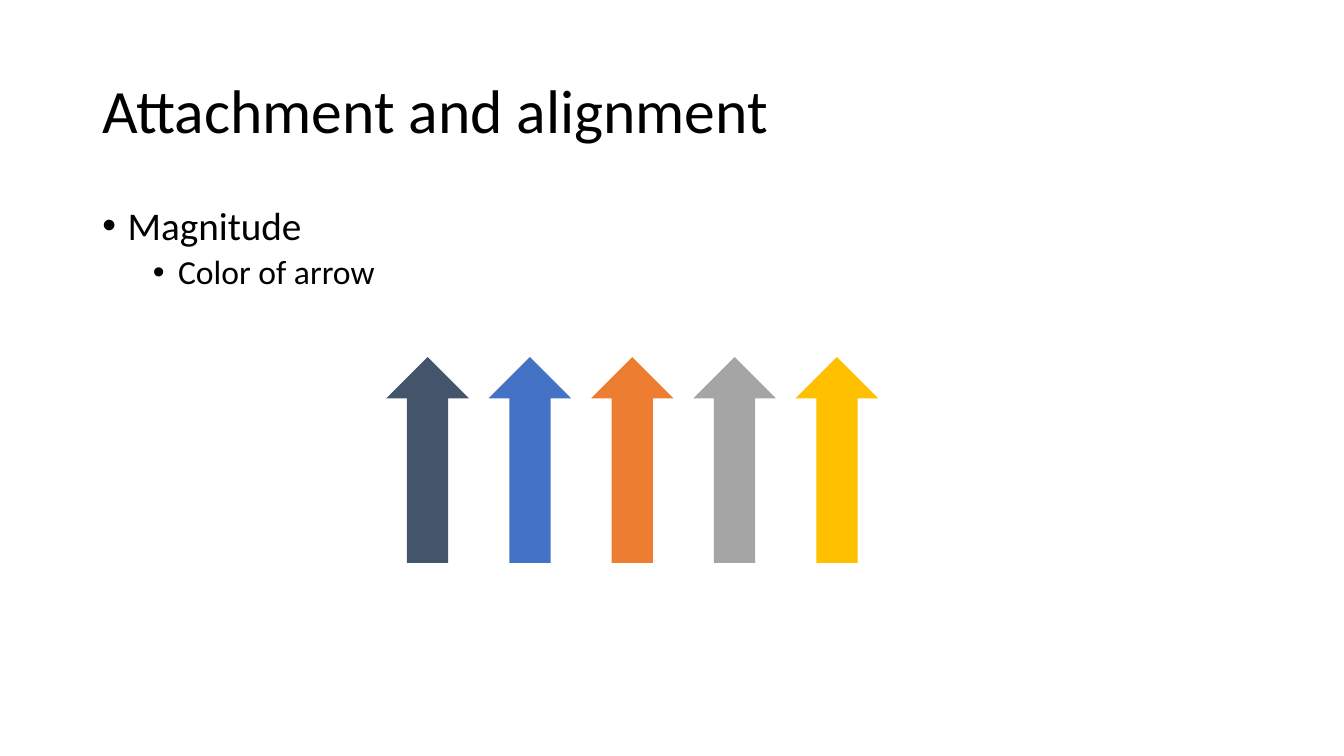
from dataclasses import dataclass

from lxml import etree
from pptx import Presentation
from pptx.dml.color import RGBColor
from pptx.enum.shapes import MSO_SHAPE
from pptx.enum.text import MSO_ANCHOR, MSO_AUTO_SIZE, PP_ALIGN
from pptx.oxml.ns import qn
from pptx.util import Pt

DOWN_ARROW = MSO_SHAPE.DOWN_ARROW
MIDDLE, TOP = MSO_ANCHOR.MIDDLE, MSO_ANCHOR.TOP
LEFT = PP_ALIGN.LEFT
NO_AUTOFIT = MSO_AUTO_SIZE.NONE

BLACK = RGBColor(0x00, 0x00, 0x00)
SLATE = RGBColor(0x44, 0x54, 0x6A)
BLUE = RGBColor(0x44, 0x72, 0xC4)
ORANGE = RGBColor(0xED, 0x7D, 0x31)
GRAY = RGBColor(0xA5, 0xA5, 0xA5)
GOLD = RGBColor(0xFF, 0xC0, 0x00)

FONT = "Calibri"
ARROW_COLORS = (SLATE, BLUE, ORANGE, GRAY, GOLD)
ARROW_LEFT, ARROW_TOP, ARROW_PITCH = 275.9, 255, 73.1
ARROW_WIDTH, ARROW_HEIGHT = 59, 147


@dataclass
class Line:
    text: str
    size: float
    level: int = 0
    before: float = 0
    margin: float = 0
    hanging: float = 0
    bullet: str = ""


@dataclass
class Arrow:
    left: float
    color: RGBColor


def apply(target, formats: dict) -> None:
    for name, value in formats.items():
        setattr(target, name, value)


def fill_placeholder(sp, box: tuple, anchor, lines: list[Line]) -> None:
    apply(sp, dict(zip(("left", "top", "width", "height"), map(Pt, box))))
    tf = sp.text_frame
    apply(tf, {"word_wrap": True, "auto_size": NO_AUTOFIT, "vertical_anchor": anchor})
    for i, line in enumerate(lines):
        p = tf.add_paragraph() if i else tf.paragraphs[0]
        apply(p, {"level": line.level, "alignment": LEFT, "line_spacing": 0.9,
                  "space_before": Pt(line.before), "space_after": Pt(0)})
        r = p.add_run()
        r.text = line.text
        apply(r.font, {"name": FONT, "size": Pt(line.size)})
        r.font.color.rgb = BLACK
        if line.bullet:
            pPr = p._p.get_or_add_pPr()
            pPr.set("marL", str(Pt(line.margin)))
            pPr.set("indent", str(-Pt(line.hanging)))
            etree.SubElement(pPr, qn("a:buFont")).set("typeface", "Arial")
            etree.SubElement(pPr, qn("a:buChar")).set("char", line.bullet)


def draw_arrow(s, arrow: Arrow) -> None:
    sp = s.shapes.add_shape(DOWN_ARROW, Pt(arrow.left), Pt(ARROW_TOP),
                            Pt(ARROW_WIDTH), Pt(ARROW_HEIGHT))
    sp.rotation = 180
    sp.shadow.inherit = False
    sp.fill.solid()
    sp.fill.fore_color.rgb = arrow.color
    sp.line.fill.background()


def main() -> None:
    prs = Presentation()
    apply(prs, {"slide_width": Pt(960), "slide_height": Pt(540)})
    s = prs.slides.add_slide(prs.slide_layouts[1])
    fill_placeholder(s.shapes.title, (66, 28.75, 828, 104.4), MIDDLE,
                     [Line("Attachment and alignment", 44)])
    fill_placeholder(s.placeholders[1], (66, 143.75, 887, 342.6), TOP, [
        Line("Magnitude", 28, 0, 10, 18, 18, "•"),
        Line("Color of arrow", 24, 1, 5, 54, 18, "•"),
    ])
    for i, color in enumerate(ARROW_COLORS):
        draw_arrow(s, Arrow(ARROW_LEFT + i * ARROW_PITCH, color))
    prs.save("out.pptx")


if __name__ == "__main__":
    main()
